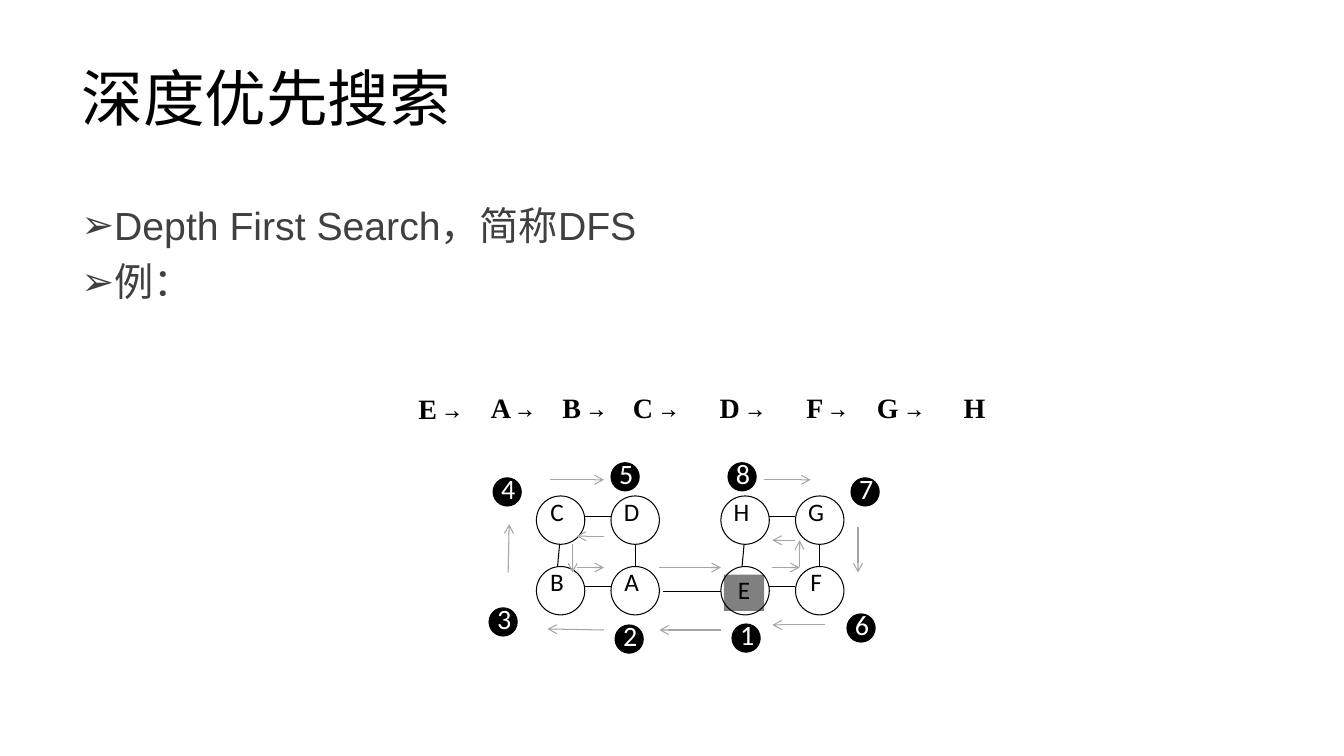
from lxml import etree
from pptx import Presentation
from pptx.dml.color import RGBColor
from pptx.enum import shapes, text
from pptx.oxml import ns
from pptx.util import Inches, Pt

TITLE = "深度优先搜索"
BODY = ["Depth First Search，简称DFS", "例："]
ORDER = [("E", 3.76, 1.09), ("A", 4.77, 0.74), ("B", 5.48, 0.74), ("C", 6.18, 0.76),
         ("D", 7.04, 0.76), ("F", 7.9, 0.72), ("G", 8.6, 0.77), ("H", 9.46, 0.42)]
BLOCKS = [(5.32, ["CD", "BA"]), (7.15, ["HG", "EF"])]
START = "E"
STEPS = [(7.26, 6.19), (6.1, 6.2), (4.85, 6.03), (4.89, 4.74),
         (6.06, 4.59), (8.4, 6.09), (8.44, 4.74), (7.22, 4.59)]
MOVES = [(7.15, 6.25, 6.54, 6.25), (5.68, 5.4, 5.68, 5.68), (6.54, 5.63, 7.15, 5.63),
         (7.89, 5.36, 7.66, 5.36), (8.18, 6.2, 7.66, 6.2), (5.72, 5.63, 5.99, 5.63),
         (5.04, 5.68, 5.05, 5.2), (5.99, 6.25, 5.43, 6.24), (7.93, 5.63, 7.93, 5.36),
         (8.51, 5.23, 8.51, 5.68), (5.45, 4.76, 5.99, 4.76), (5.99, 5.32, 5.72, 5.32),
         (7.58, 4.76, 8.04, 4.76), (7.66, 5.63, 7.93, 5.63)]
BRIDGE = (6.58, 5.87, 7.15, 5.87)
TOP, COL, ROW, NODE, DOT = 4.92, 0.74, 0.7, 0.48, 0.28
HEX = {"ink": "000000", "body": "404040", "paper": "FFFFFF", "start": "808080", "move": "A5A5A5"}
OVAL, RECT = shapes.MSO_SHAPE.OVAL, shapes.MSO_SHAPE.RECTANGLE
ALIGN, ANCHOR = text.PP_ALIGN, text.MSO_ANCHOR

deck = Presentation()
deck.slide_width, deck.slide_height = Inches(13.33), Inches(7.5)
slide = deck.slides.add_slide(deck.slide_layouts[6])


def tint(name):
    return RGBColor.from_string(HEX[name])


def add(node, tag, **attrs):
    return etree.SubElement(node, ns.qn(tag), **attrs)


def shape(kind, x, y, w, h, fill=None, line=None):
    item = slide.shapes.add_shape(kind, *map(Inches, (x, y, w, h)))
    item.shadow.inherit = False
    if fill:
        item.fill.solid()
        item.fill.fore_color.rgb = tint(fill)
    else:
        item.fill.background()
    if line:
        item.line.color.rgb = tint(line)
        item.line.width = Pt(0.75)
    else:
        item.line.fill.background()
    return item


def link(x1, y1, x2, y2, color="ink", arrow=False):
    line = slide.shapes.add_connector(shapes.MSO_CONNECTOR.STRAIGHT, *map(Inches, (x1, y1, x2, y2)))
    line.line.color.rgb = tint(color)
    line.line.width = Pt(0.75)
    if arrow:
        add(line.line._get_or_add_ln(), "a:tailEnd", type="arrow")
    add(line._element.spPr, "a:effectLst")


def box(x, y, w, h):
    return slide.shapes.add_textbox(*map(Inches, (x, y, w, h)))


def frame(item, wrap=True, anchor=ANCHOR.TOP, inset=None):
    body = item.text_frame
    body.word_wrap = wrap
    body.vertical_anchor = anchor
    if inset is not None:
        body.margin_left = body.margin_right = body.margin_top = body.margin_bottom = Inches(inset)
    return body


def write(para, words, size, font, color, bold=False):
    run = para.add_run()
    run.text = words
    run.font.size, run.font.name, run.font.bold = Pt(size), font, bold
    run.font.color.rgb = tint(color)
    return run


def label(item, words, size, color, align):
    para = frame(item, inset=0).paragraphs[0]
    para.alignment = align
    write(para, words, size, "Calibri", color)


def heading():
    para = frame(box(0.71, 0.28, 11.5, 1.45), anchor=ANCHOR.MIDDLE).paragraphs[0]
    para.line_spacing = 0.9
    write(para, TITLE, 44, "Arial", "ink")


def points():
    body = frame(box(0.71, 2, 11.5, 4.76))
    for i, words in enumerate(BODY):
        para = body.add_paragraph() if i else body.paragraphs[0]
        para.line_spacing, para.space_before = 0.9, Pt(10)
        props = para._p.get_or_add_pPr()
        props.set("marL", str(Inches(0.25)))
        props.set("indent", str(Inches(-0.25)))
        add(props, "a:buFont", typeface="Arial")
        add(props, "a:buChar", char="➢")
        write(para, words, 28, "Arial", "body")


def graph():
    for left, rows in BLOCKS:
        for r, names in enumerate(rows):
            y = TOP + r * ROW
            for c, name in enumerate(names):
                x = left + c * COL
                if name == START:
                    tile = shape(RECT, x + 0.03, y + 0.08, 0.4, 0.36, "start")
                else:
                    tile = shape(RECT, x, y, 0.41, 0.36, "paper")
                label(tile, name, 18, "ink", ALIGN.CENTER)
                shape(OVAL, x, y, NODE, NODE, line="ink")
            link(left + NODE, y + 0.2, left + COL, y + 0.2)
        mid = left + COL + NODE / 2
        link(mid, TOP + NODE, mid, TOP + ROW)
        link(left + 0.23, TOP + NODE, left + 0.21, TOP + ROW)
    link(*BRIDGE)


def steps():
    for i, (x, y) in enumerate(STEPS, 1):
        shape(OVAL, x, y, DOT, DOT, "ink", "ink")
        label(box(x + 0.08, y - 0.06, 0.24, 0.35), str(i), 20, "paper", ALIGN.JUSTIFY)
    for move in MOVES:
        link(*move, "move", True)


def order():
    for name, x, w in ORDER:
        first, last = name == START, name == ORDER[-1][0]
        body = frame(box(x, 3.83, w, 0.44), first, ANCHOR.MIDDLE if first else ANCHOR.TOP)
        body.auto_size = text.MSO_AUTO_SIZE.SHAPE_TO_FIT_TEXT
        para = body.paragraphs[0]
        if first:
            para._p.get_or_add_pPr().set("indent", str(Inches(0.29)))
        write(para, name if last else name + " ", 20, "Times New Roman", "ink", True)
        if not last:
            run = write(para, "→", 20, "Noto Sans Mono", "ink", True)
            add(run.font._element, "a:ea", typeface="Noto Sans Mono")


heading()
points()
graph()
steps()
order()
deck.save("out.pptx")
